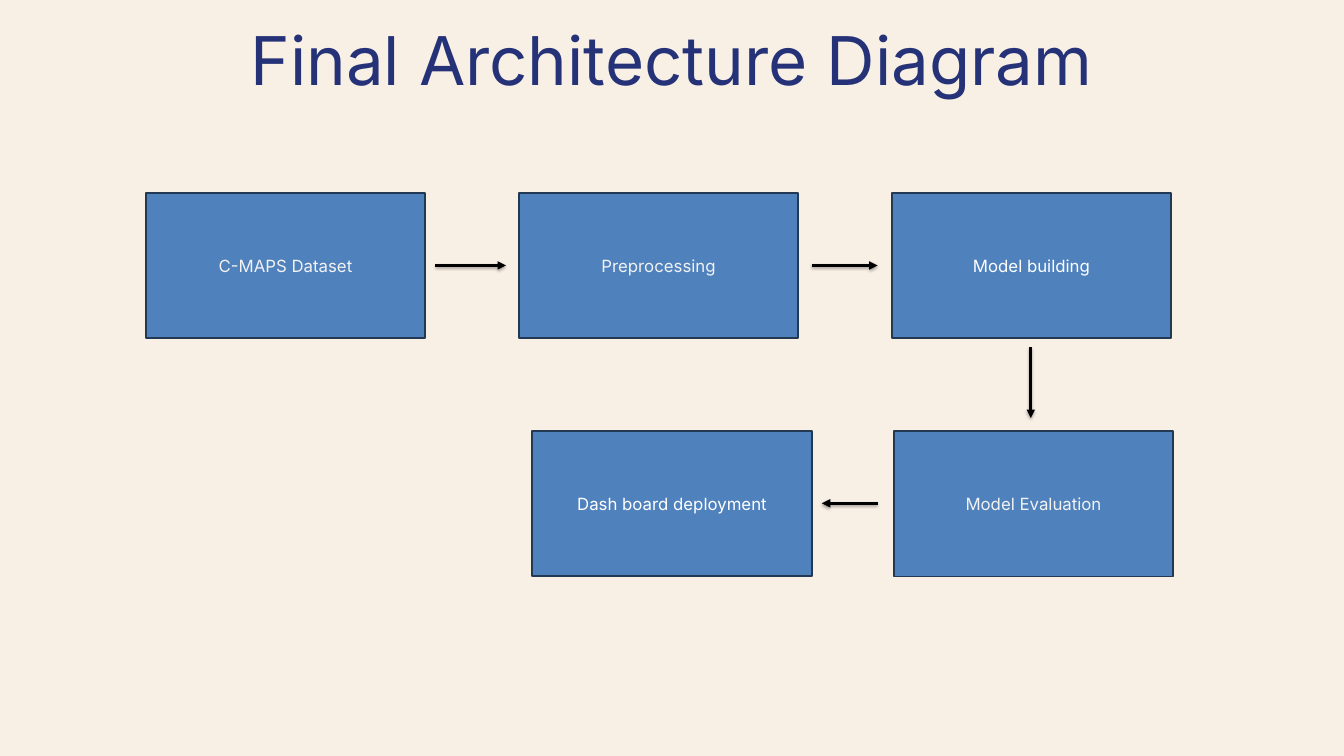
from lxml.etree import SubElement
from pptx import Presentation
from pptx.dml.color import RGBColor as RGB
from pptx.enum.shapes import MSO_CONNECTOR as LINK, MSO_SHAPE as SHAPE
from pptx.enum.text import MSO_ANCHOR as ANCHOR, PP_ALIGN as ALIGN
from pptx.oxml import parse_xml
from pptx.oxml.ns import nsdecls, qn
from pptx.util import Pt

PX = 9144
FONT = "Inter"
HUES = {"page": "F8EFE5", "title": "253278", "box": "4F81BD", "edge": "233953",
        "pale": "F2F2F2", "white": "FFFFFF", "arrow": "000000"}


def px(*nums):
    """Turn px lengths into EMU."""
    return [n * PX for n in nums]


def hue(name):
    """Look up a colour by name."""
    return RGB.from_string(HUES[name])


def write(frame, text, size, color):
    """Put one centred line of text in a frame."""
    frame.word_wrap = True
    para = frame.paragraphs[0]
    para.text = text
    para.alignment = ALIGN.CENTER
    font = para.font
    font.name, font.size, font.color.rgb = FONT, Pt(size), hue(color)


def add_title(slide, box, text):
    """Place the heading in its box."""
    frame = slide.shapes.add_textbox(*px(*box)).text_frame
    frame.margin_left = frame.margin_right = 0
    frame.margin_top = frame.margin_bottom = 0
    write(frame, text, 72, "title")


def add_step(slide, box, text, color):
    """Draw one step of the flow."""
    step = slide.shapes.add_shape(SHAPE.RECTANGLE, *px(*box))
    step.shadow.inherit = False
    step.fill.solid()
    step.fill.fore_color.rgb = hue("box")
    step.line.color.rgb = hue("edge")
    step.line.width = Pt(2)
    step.text_frame.vertical_anchor = ANCHOR.MIDDLE
    write(step.text_frame, text, 18, color)


def add_arrow(slide, ends):
    """Draw a shadowed arrow between two points."""
    arrow = slide.shapes.add_connector(LINK.STRAIGHT, *px(*ends))
    arrow.line.color.rgb = hue("arrow")
    arrow.line.width = Pt(3)
    props = arrow._element.spPr
    SubElement(props.find(qn("a:ln")), qn("a:tailEnd"), type="triangle")
    props.append(parse_xml(
        f'<a:effectLst {nsdecls("a")}><a:outerShdw blurRad="40000" dist="23000" '
        f'dir="5400000" rotWithShape="0"><a:srgbClr val="{HUES["arrow"]}">'
        '<a:alpha val="35000"/></a:srgbClr></a:outerShdw></a:effectLst>'))


def add_flow(slide, box):
    """Lay out the steps and arrows within a box."""
    left, top, width, height = box
    wide, high = 416, 216
    pitch = (width - wide) // 2
    low = height - high
    steps = [(0, 0, "C-MAPS Dataset", "pale"),
             (pitch, 0, "Preprocessing", "pale"),
             (2 * pitch, 0, "Model building", "white"),
             (2 * pitch + 3, low, "Model Evaluation", "pale"),
             (pitch + 20, low - 1, "Dash board deployment", "white")]
    for x, y, text, color in steps:
        add_step(slide, (left + x, top + y, wide, high), text, color)
    mid, base = high // 2, low + high // 2 - 1
    drop = 2 * pitch + wide // 2 - 1
    arrows = [(431, mid, 536, mid), (991, mid, 1089, mid),
              (drop, 230, drop, 335), (1089, base, 1006, base)]
    for x1, y1, x2, y2 in arrows:
        add_arrow(slide, (left + x1, top + y1, left + x2, top + y2))


def main():
    """Build the deck and save it."""
    deck = Presentation()
    deck.slide_width, deck.slide_height = px(2000, 1125)
    slide = deck.slides.add_slide(deck.slide_layouts[6])
    slide.background.fill.solid()
    slide.background.fill.fore_color.rgb = hue("page")
    add_title(slide, (112, 27, 1775, 121), "Final Architecture Diagram")
    add_flow(slide, (217, 287, 1526, 571))
    deck.save("out.pptx")


if __name__ == "__main__":
    main()
